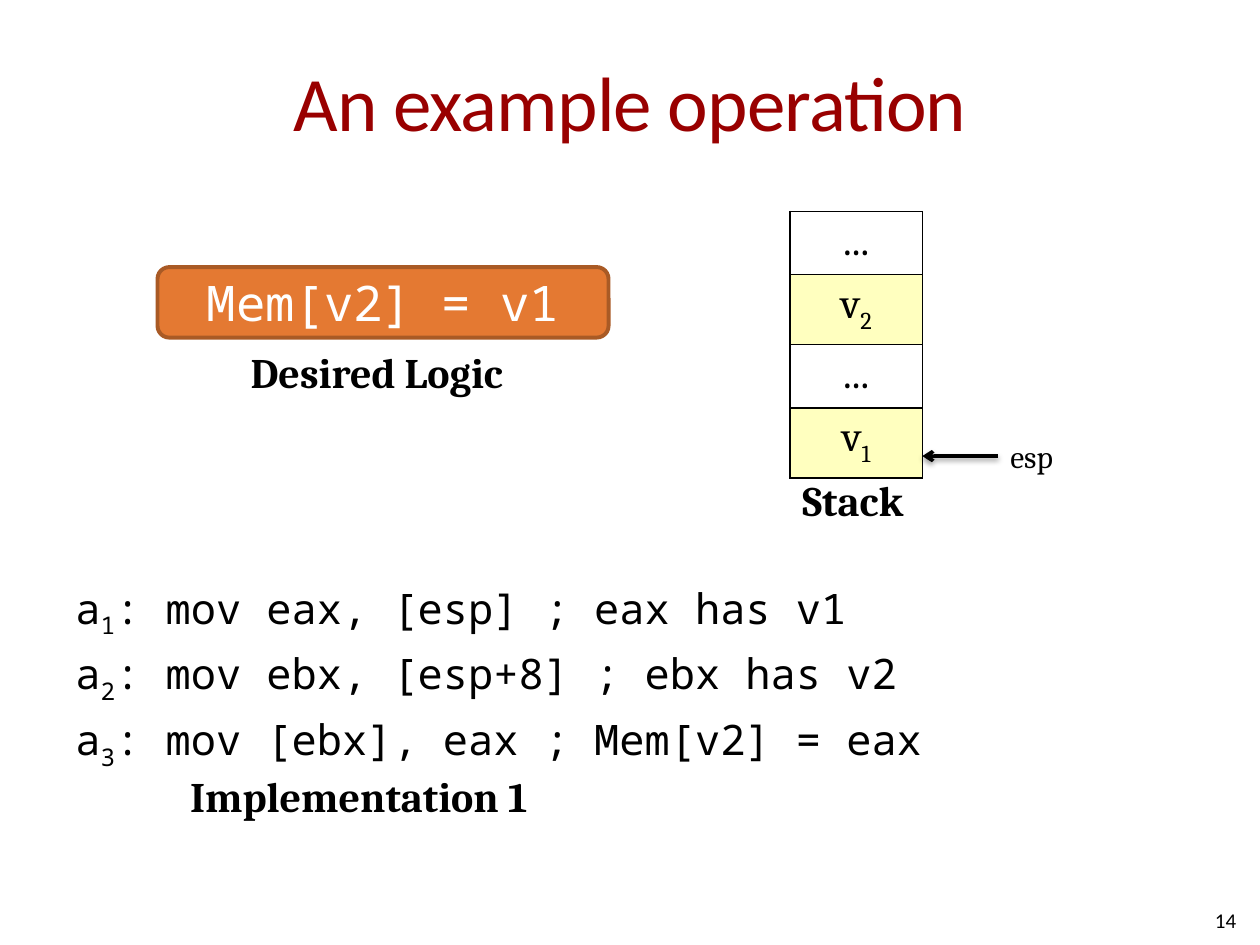
from lxml import etree
from pptx import Presentation
from pptx.dml.color import RGBColor
from pptx.enum.shapes import MSO_CONNECTOR, MSO_SHAPE
from pptx.enum.text import MSO_ANCHOR, PP_ALIGN
from pptx.oxml import parse_xml
from pptx.oxml.ns import nsdecls, qn
from pptx.util import Inches, Pt

LEFT, CENTER, RIGHT = PP_ALIGN.LEFT, PP_ALIGN.CENTER, PP_ALIGN.RIGHT
TOP, MIDDLE = MSO_ANCHOR.TOP, MSO_ANCHOR.MIDDLE
ROUND_RECT = MSO_SHAPE.ROUNDED_RECTANGLE
STRAIGHT = MSO_CONNECTOR.STRAIGHT

COLORS = {
    "title": "990000",
    "text": "000000",
    "white": "FFFFFF",
    "logic": "E47932",
    "logic_line": "A95A25",
    "value": "FFFFBF",
}
SERIF, SANS, MONO = "Cambria", "Calibri", "Noto Sans Mono"


def rgb(name):
    return RGBColor.from_string(COLORS[name])


def write_text(tf, paragraphs, font=SERIF, size=24, color="text", bold=False,
               align=LEFT, space_before=0, spacing=0):
    for i, runs in enumerate(paragraphs):
        p = tf.paragraphs[0] if i == 0 else tf.add_paragraph()
        p.alignment = align
        if i and space_before:
            p.space_before = Pt(space_before)
        for text, is_sub in runs:
            r = p.add_run()
            r.text = text
            r.font.name, r.font.size, r.font.bold = font, Pt(size), bold
            r.font.color.rgb = rgb(color)
            if is_sub:
                r.font._element.set("baseline", "-25000")
            if spacing:
                r.font._element.set("spc", str(int(spacing * 100)))


def add_text(slide, box, paragraphs, wrap=True, anchor=TOP, margin=0.1, **fmt):
    tf = slide.shapes.add_textbox(*map(Inches, box)).text_frame
    tf.word_wrap = wrap
    tf.vertical_anchor = anchor
    tf.margin_left = tf.margin_right = Inches(margin)
    write_text(tf, paragraphs, **fmt)


def add_label(slide, box, text, **fmt):
    add_text(slide, box, [[(text, False)]], **fmt)


def add_logic(slide, x, y, w, h):
    sp = slide.shapes.add_shape(ROUND_RECT, *map(Inches, (x, y, w, h)))
    sp.shadow.inherit = False
    sp.fill.solid()
    sp.fill.fore_color.rgb = rgb("logic")
    sp.line.color.rgb = rgb("logic_line")
    sp.line.width = Pt(2.25)
    sp.text_frame.vertical_anchor = MIDDLE
    write_text(sp.text_frame, [[("Mem[v2] = v1", False)]], font=MONO, size=28,
               color="white", align=CENTER)
    add_label(slide, (x + 0.64, y + h + 0.02, 2.31, 0.5), "Desired Logic",
              bold=True, wrap=False)


def set_borders(cell):
    tcPr = cell._tc.get_or_add_tcPr()
    for side in ("lnL", "lnR", "lnT", "lnB"):
        tcPr.append(parse_xml(
            f'<a:{side} {nsdecls("a")} w="12700"><a:solidFill>'
            f'<a:srgbClr val="{COLORS["text"]}"/></a:solidFill></a:{side}>'))


def add_stack(slide, x, y, w, h):
    rows = [[("...", False)], [("v", False), ("2", True)],
            [("...", False)], [("v", False), ("1", True)]]
    row_h = 0.41
    frame = slide.shapes.add_table(
        len(rows), 1, *map(Inches, (x, y, w, row_h * len(rows))))
    table = frame.table
    table.first_row = table.horz_banding = False
    for i, runs in enumerate(rows):
        cell = table.cell(i, 0)
        set_borders(cell)
        if len(runs) > 1:
            cell.fill.solid()
            cell.fill.fore_color.rgb = rgb("value")
        else:
            cell.fill.background()
        write_text(cell.text_frame, [runs], align=CENTER)
    add_label(slide, (x, y + h + 0.04, 1.03, 0.5), "Stack", bold=True, wrap=False)
    add_pointer(slide, x + w, y + h - 0.06, 0.6)


def add_pointer(slide, x, y, length):
    add_label(slide, (x + length, y - 0.2, 0.58, 0.4), "esp", size=18, wrap=False)
    line = slide.shapes.add_connector(
        STRAIGHT, *map(Inches, (x + length, y, x, y)))
    line.line.color.rgb = rgb("text")
    line.line.width = Pt(2)
    etree.SubElement(line.line._get_or_add_ln(), qn("a:tailEnd"), type="arrow")
    effects = etree.SubElement(line._element.spPr, qn("a:effectLst"))
    shadow = etree.SubElement(
        effects, qn("a:outerShdw"), blurRad=str(Pt(3.1)), dist=str(Pt(1.6)),
        dir="5400000", rotWithShape="0")
    color = etree.SubElement(shadow, qn("a:srgbClr"), val=COLORS["text"])
    etree.SubElement(color, qn("a:alpha"), val="38000")


def add_code(slide, x, y, w, h):
    lines = ["mov eax, [esp] ; eax has v1",
             "mov ebx, [esp+8] ; ebx has v2",
             "mov [ebx], eax ; Mem[v2] = eax"]
    add_text(slide, (x, y, w, h),
             [[("a", False), (str(n), True), (f": {code}", False)]
              for n, code in enumerate(lines, 1)],
             font=MONO, space_before=4.8)
    add_label(slide, (x + 0.91, y + h - 0.08, 5.59, 0.5), "Implementation 1",
              bold=True)


def main():
    prs = Presentation()
    prs.slide_width, prs.slide_height = Inches(10), Inches(7.5)
    slide = prs.slides.add_slide(prs.slide_layouts[6])
    add_label(slide, (0.5, 0.17, 9, 1.25), "An example operation", font=SANS,
              size=44, color="title", align=CENTER, anchor=MIDDLE, margin=0,
              spacing=-0.5)
    add_logic(slide, 1.25, 2.12, 3.58, 0.56)
    add_stack(slide, 6.27, 1.68, 1.05, 2)
    add_code(slide, 0.5, 4.57, 7.42, 1.58)
    add_label(slide, (7.58, 7.1, 2.33, 0.4), "14", font=SANS, size=12,
              align=RIGHT, anchor=MIDDLE)
    prs.save("out.pptx")


if __name__ == "__main__":
    main()
